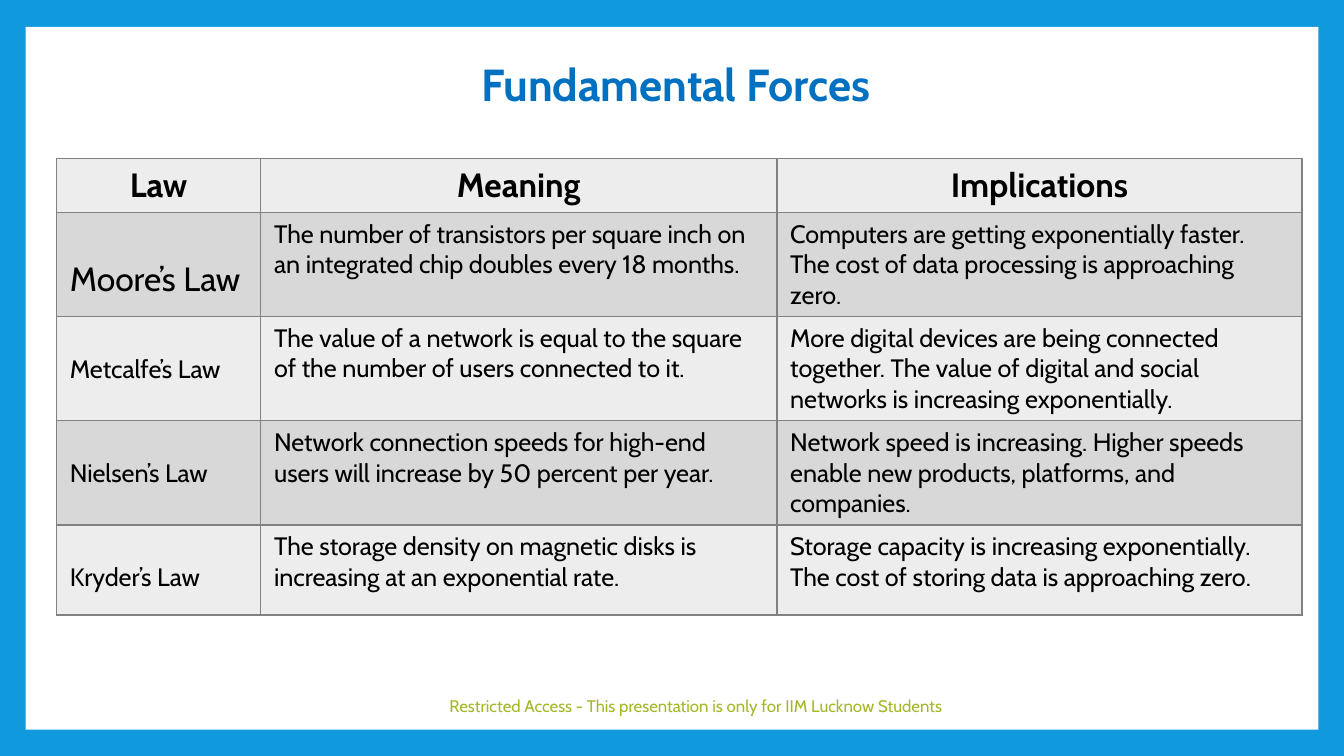
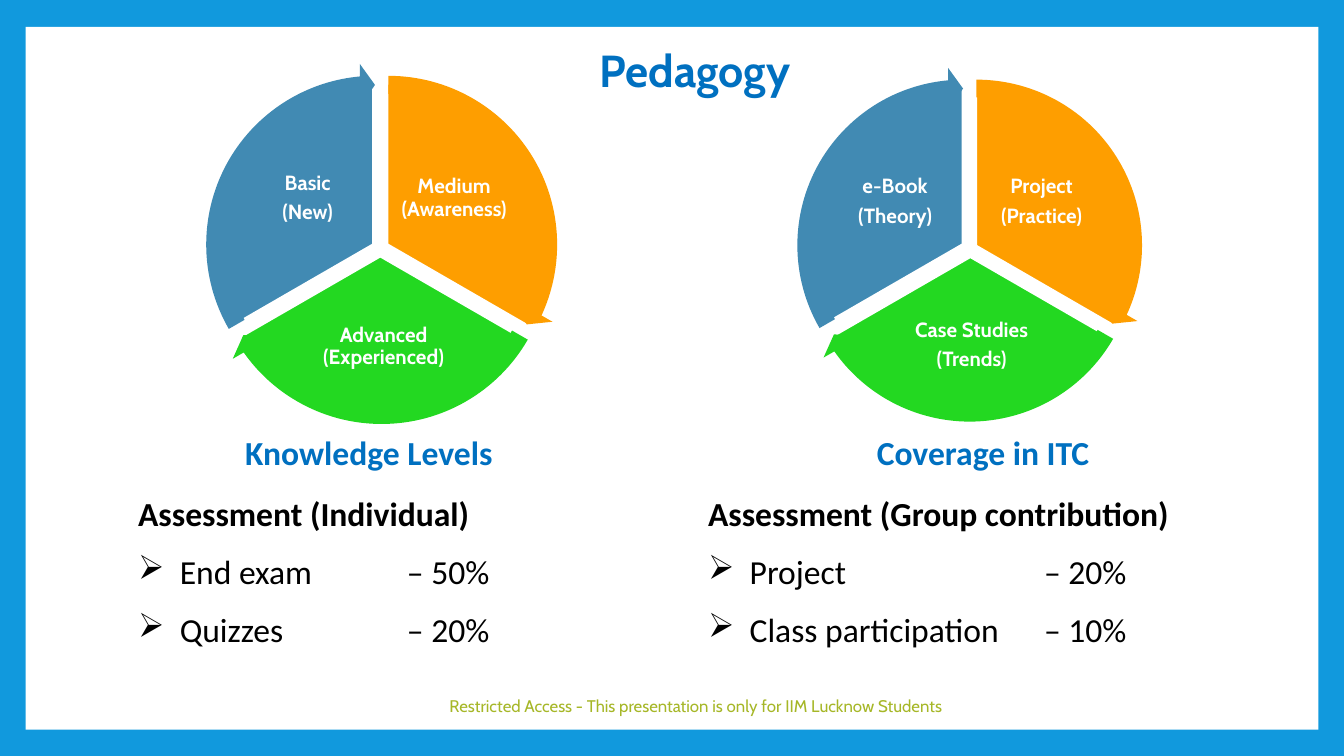
from lxml import etree
from pptx import Presentation
from pptx.dml.color import RGBColor as RGB
from pptx.enum.shapes import MSO_SHAPE as SHAPE
from pptx.enum.text import MSO_ANCHOR as ANCHOR, MSO_AUTO_SIZE as FIT, PP_ALIGN as ALIGN
from pptx.oxml.ns import qn
from pptx.util import Emu, Pt

SCALE = 9144  # EMU per px, 100 px to the inch
FRAME = RGB(0x11, 0x99, 0xDD)
TITLE = RGB(0x00, 0x70, 0xC0)
NOTICE = RGB(0xA6, 0xB7, 0x27)
BLACK = RGB(0x00, 0x00, 0x00)
WHITE = RGB(0xFF, 0xFF, 0xFF)
PALE = RGB(0xED, 0xED, 0xED)
GREY = RGB(0xD8, 0xD8, 0xD9)
ORANGE = RGB(0xFE, 0x9E, 0x00)
GREEN = RGB(0x23, 0xD8, 0x21)
BLUE = RGB(0x41, 0x8A, 0xB3)
RULE = "818183"


def px(*sizes):
    return [Emu(size * SCALE) for size in sizes]


def write(frame, text, size, color, bold=False, align=ALIGN.LEFT,
          font="Cabin", line=None, after=0):
    """Fill a text frame and give all its paragraphs one style."""
    frame.text = text
    frame.word_wrap = True
    for para in frame.paragraphs:
        para.alignment = align
        para.line_spacing = line
        para.space_before, para.space_after = Pt(0), Pt(after)
        for run in para.runs:
            run.font.name, run.font.size = font, Pt(size)
            run.font.bold, run.font.color.rgb = bold, color


prs = Presentation()
prs.slide_width, = px(1000)
prs.slide_height = prs.slide_width * 9 // 16
master = prs.slide_master
master.background.fill.solid()
master.background.fill.fore_color.rgb = FRAME

# Title, its box and its left margin
heads = [
    ("Fundamental Forces", (31, 42, 948, 353), 6),
    ("Pedagogy", (23, 31, 947, 487), 51),
]
for head, box, left in heads:
    slide = prs.slides.add_slide(prs.slide_layouts[5])
    title = slide.shapes.title
    title.left, title.top, title.width, title.height = px(*box)
    frame = title.text_frame
    frame.auto_size, frame.vertical_anchor = FIT.NONE, ANCHOR.TOP
    frame.margin_left, frame.margin_right = px(left, 10)
    frame.margin_top, frame.margin_bottom = px(5, 5)
    write(frame, head, 24, TITLE, True, ALIGN.CENTER, line=0.9)

    foot = slide.shapes.add_textbox(*px(324, 510, 387, 30)).text_frame
    foot.vertical_anchor = ANCHOR.MIDDLE
    write(foot, "Restricted Access - This presentation is only for IIM Lucknow Students",
          9, NOTICE, align=ALIGN.CENTER)

forces, course = prs.slides

# The white panel belongs to the master, behind everything
panel = forces.shapes.add_shape(SHAPE.RECTANGLE, *px(19, 20, 962, 523))
panel.shadow.inherit = False
panel.fill.solid()
panel.fill.fore_color.rgb = WHITE
panel.line.fill.background()
master.shapes.element.insert(2, panel.element)

# Slide 1: table of laws
laws = [
    ("Law", "Meaning", "Implications"),
    ("Moore’s Law",
     "The number of transistors per square inch on an integrated chip doubles every 18 months.",
     "Computers are getting exponentially faster.\n"
     "The cost of data processing is approaching zero."),
    ("Metcalfe’s Law",
     "The value of a network is equal to the square of the number of users connected to it.",
     "More digital devices are being connected together. "
     "The value of digital and social networks is increasing exponentially."),
    ("Nielsen’s Law",
     "Network connection speeds for high-end users will increase by 50 percent per year.",
     "Network speed is increasing. Higher speeds enable new products, platforms, and companies."),
    ("Kryder’s Law",
     "The storage density on magnetic disks is increasing at an exponential rate.",
     "Storage capacity is increasing exponentially.\n"
     "The cost of storing data is approaching zero."),
]
holder = forces.shapes.add_table(5, 3, *px(42, 118, 927, 345))
table = holder.table
table.first_row = table.horz_banding = False
for col, width in zip(table.columns, px(152, 384, 391)):
    col.width = width
for row, height in zip(table.rows, px(35, 74, 74, 74, 67)):
    row.height = height
holder.height, = px(345)

for r, law in enumerate(laws):
    for c, text in enumerate(law):
        cell = table.cell(r, c)
        top = r == 0
        size = 18 if top or (r, c) == (1, 0) else 13.5
        write(cell.text_frame, text, size, BLACK, top,
              ALIGN.CENTER if top else ALIGN.LEFT)
        if c == 0 and not top:
            # the name of the law sits one line lower
            cell.margin_top, = px(5 + round(size * 1.67))
        props = cell._tc.get_or_add_tcPr()
        for side in ("lnL", "lnR", "lnT", "lnB"):
            edge = etree.SubElement(props, qn(f"a:{side}"), w=str(Pt(1)))
            fill = etree.SubElement(edge, qn("a:solidFill"))
            etree.SubElement(fill, qn("a:srgbClr"), val=RULE)
        cell.fill.solid()
        cell.fill.fore_color.rgb = GREY if r % 2 else PALE

# Slide 2: two wheels, each sector as pie box, label box and label
hues = [ORANGE, GREEN, BLUE]
slices = [(162, 18), (18, 90), (90, 162)]
sweeps = [(14.73, 161.99), (86.72, 18), (158.73, 90)]
wheels = [
    ([((168, 62, 240, 240), (295, 112, 86, 71), "Medium (Awareness)"),
      ((163, 69, 240, 243), (221, 226, 129, 64), "Advanced (Experienced)"),
      ((158, 62, 240, 240), (186, 112, 86, 71), "Basic\n(New)")],
     (154, 47, 270)),
    ([((608, 65, 236, 236), (733, 115, 84, 70), "Project\n(Practice)"),
      ((604, 73, 236, 236), (660, 226, 126, 62), "Case Studies\n(Trends)"),
      ((593, 65, 247, 234), (622, 115, 88, 70), "e-Book\n(Theory)")],
     (594, 50, 265)),
]
for sectors, (x, y, size) in wheels:
    wheel = course.shapes.add_group_shape().shapes
    for hue, ends, (box, spot, text) in zip(hues, slices, sectors):
        pie = wheel.add_shape(SHAPE.PIE, *px(*box))
        pie.adjustments[0], pie.adjustments[1] = ends
        pie.shadow.inherit = False
        pie.fill.solid()
        pie.fill.fore_color.rgb = hue
        pie.line.color.rgb, pie.line.width = WHITE, Pt(1.5)

        label = wheel.add_textbox(*px(*spot)).text_frame
        label.vertical_anchor = ANCHOR.MIDDLE
        label.margin_left, label.margin_right = px(2, 2)
        label.margin_top, label.margin_bottom = px(2, 2)
        write(label, text, 11, WHITE, True, ALIGN.CENTER, line=0.9, after=4)

    for n, (hue, (end, start)) in enumerate(zip(hues, sweeps)):
        drop = 8 if n == 1 else 0
        arrow = wheel.add_shape(SHAPE.CIRCULAR_ARROW, *px(x - 5 * n, y + drop, size, size))
        for k, value in enumerate((0.05, 3.28, end, start, 0.06)):
            arrow.adjustments[k] = value
        arrow.shadow.inherit = False
        arrow.fill.solid()
        arrow.fill.fore_color.rgb = hue
        arrow.line.fill.background()

captions = [("Knowledge Levels", 157, 235), ("Coverage in ITC", 593, 277)]
for text, x, width in captions:
    caption = course.shapes.add_textbox(*px(x, 314, width, 41)).text_frame
    write(caption, text, 18, TITLE, True, ALIGN.CENTER, "Calibri", 1.07, 8)

# Assessment lists, with the tab stop of their shares
grades = [
    (93, 200, "Assessment (Individual)\nEnd exam\t– 50%\nQuizzes\t– 20%"),
    (517, 250, "Assessment (Group contribution)\nProject\t– 20%\nClass participation\t– 10%"),
]
for x, stop, text in grades:
    frame = course.shapes.add_textbox(*px(x, 360, 370, 128)).text_frame
    write(frame, text, 18, BLACK, font="Calibri", line=1.07, after=8)
    first, *items = frame.paragraphs
    first.runs[0].font.bold = True
    for item in items:
        props = item._p.get_or_add_pPr()
        props.set("marL", str(31 * SCALE))
        props.set("indent", str(-31 * SCALE))
        etree.SubElement(props, qn("a:buChar"), char="➢")
        tabs = etree.SubElement(props, qn("a:tabLst"))
        etree.SubElement(tabs, qn("a:tab"), pos=str(stop * SCALE), algn="l")

prs.save("out.pptx")
